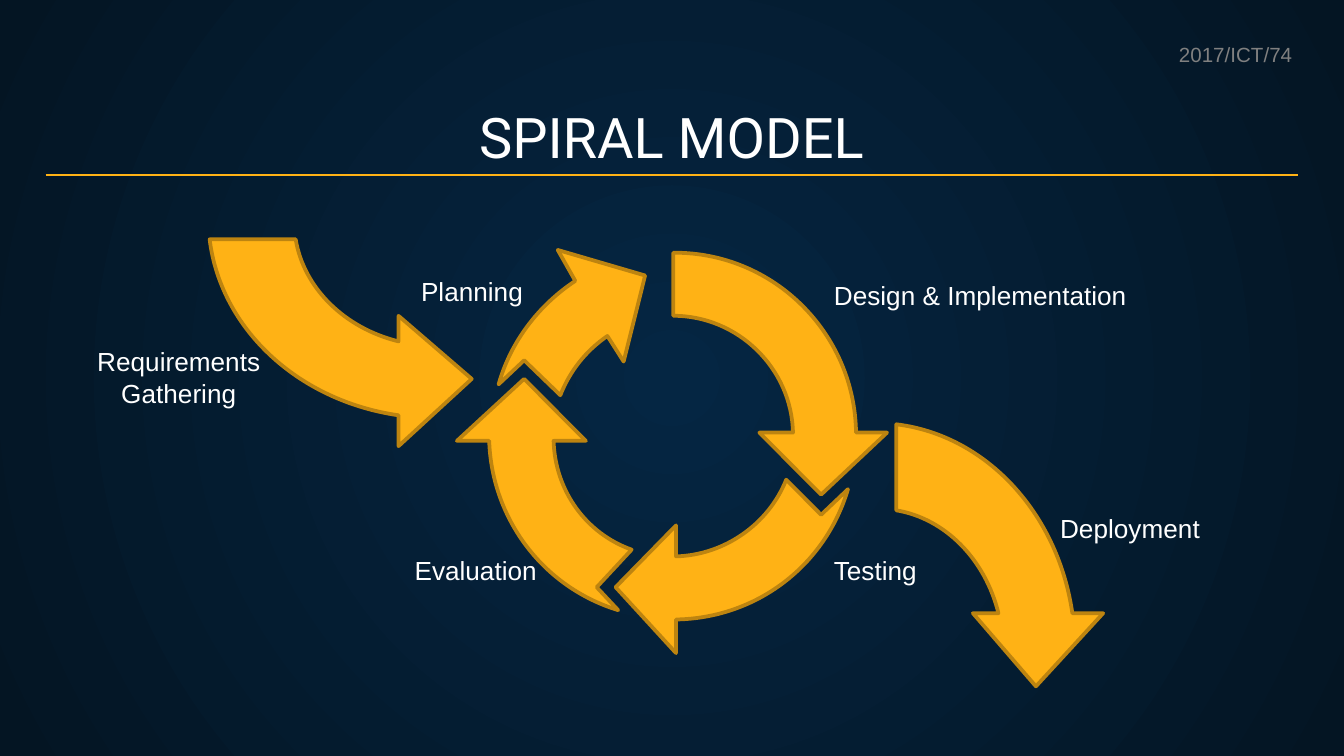
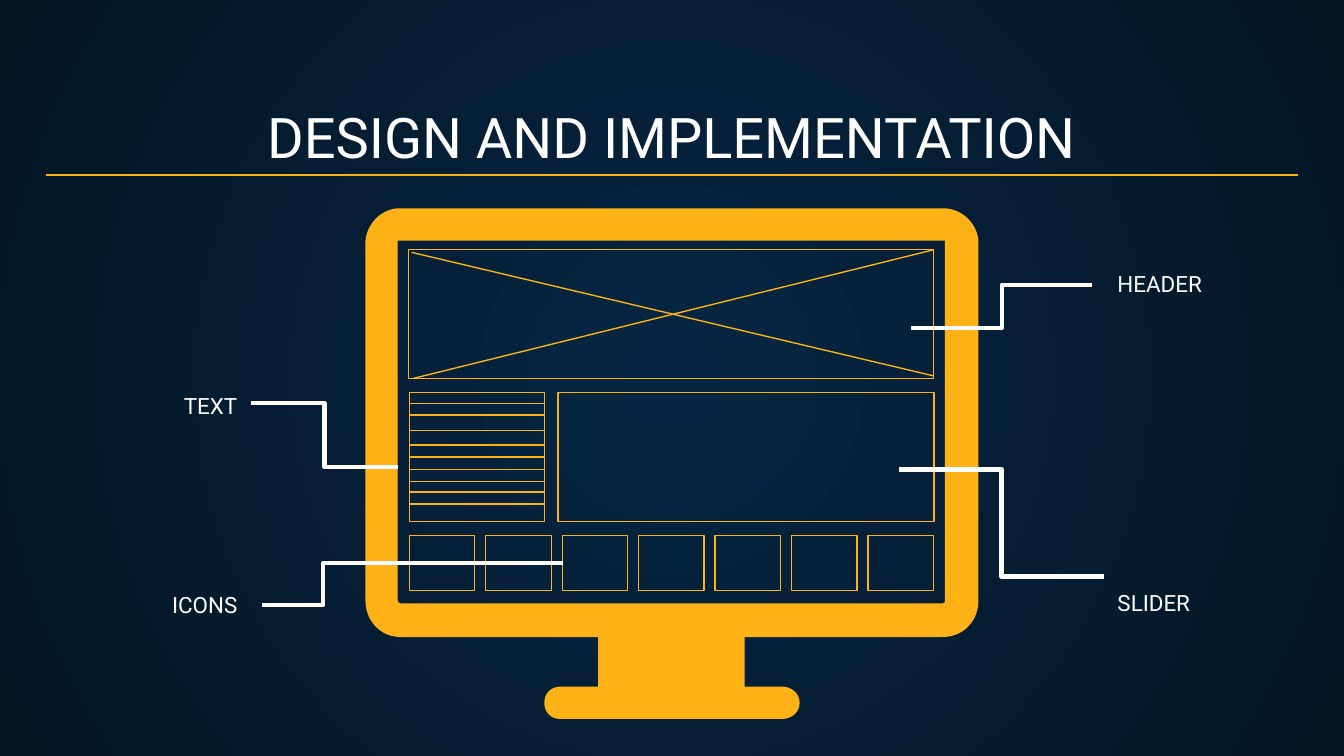
from lxml import etree
from pptx import Presentation
from pptx.dml.color import RGBColor
from pptx.enum.shapes import MSO_CONNECTOR, MSO_SHAPE
from pptx.enum.text import MSO_ANCHOR, MSO_AUTO_SIZE, PP_ALIGN
from pptx.oxml.ns import qn
from pptx.util import Pt

COLORS = {
    "glow": "052643",
    "night": "041523",
    "gold": "FFB215",
    "bronze": "BD8410",
    "white": "FFFFFF",
    "gray": "808080",
}
RGB = {name: RGBColor.from_string(value) for name, value in COLORS.items()}


def write(frame, lines, font, size, align=PP_ALIGN.CENTER,
          anchor=MSO_ANCHOR.BOTTOM, color="white", indent=0):
    frame.word_wrap = True
    frame.auto_size = MSO_AUTO_SIZE.NONE
    frame.vertical_anchor = anchor
    frame.margin_left = frame.margin_right = Pt(7.2)
    frame.margin_top = frame.margin_bottom = Pt(7.2)
    for number, line in enumerate(lines):
        paragraph = frame.add_paragraph() if number else frame.paragraphs[0]
        paragraph.alignment = align
        if indent:
            paragraph._p.get_or_add_pPr().set("marL", str(Pt(indent)))
        run = paragraph.add_run()
        run.text = line
        run.font.name = font
        run.font.size = Pt(size)
        run.font.color.rgb = RGB[color]


def add_outline(shapes, *contours):
    """Draw closed contours; a step is an end point, or a cubic curve of 3 points."""
    builder = None
    for start, *steps in contours:
        origin = [Pt(value) for value in start]
        if builder is None:
            builder = shapes.build_freeform(*origin)
        else:
            builder.move_to(*origin)
        points = [(Pt(x), Pt(y)) for step in steps for x, y in zip(step[::2], step[1::2])]
        builder.add_line_segments(points, close=True)
    outline = builder.convert_to_shape()
    # Join the three points of each curve into one cubic segment
    segments = iter(list(outline._element.iter(qn("a:lnTo"))))
    for step in (step for contour in contours for step in contour[1:]):
        segment = next(segments)
        if len(step) == 6:
            segment.tag = qn("a:cubicBezTo")
            for follower in (next(segments), next(segments)):
                segment.append(follower[0])
                follower.getparent().remove(follower)
    outline.shadow.inherit = False
    outline.fill.solid()
    outline.fill.fore_color.rgb = RGB["gold"]
    return outline


prs = Presentation()
prs.slide_width, prs.slide_height = Pt(720), Pt(405)

# Shared background: a radial glow on the master
backdrop = prs.slide_master.background.fill
backdrop.gradient()
for stop, name in zip(backdrop.gradient_stops, ("glow", "night")):
    stop.color.rgb = RGB[name]
gradient = prs.slide_master._element.find(".//" + qn("a:gradFill"))
gradient.remove(gradient.find(qn("a:lin")))
radial = etree.SubElement(gradient, qn("a:path"), path="circle")
etree.SubElement(radial, qn("a:fillToRect"), l="50000", t="50000", r="50000", b="50000")

# Shared title style; connectors are (slide, ends, colour, width, bend)
connectors = []
slides = []
for heading in ("SPIRAL MODEL", "DESIGN AND IMPLEMENTATION"):
    slide = prs.slides.add_slide(prs.slide_layouts[5])
    title = slide.shapes.title
    title.left, title.top, title.width, title.height = Pt(24.3), Pt(50.8), Pt(671), Pt(47.5)
    write(title.text_frame, [heading], "Roboto", 30)
    connectors.append((slide, (24.5, 93.8, 695.5, 93.8), "gold", 0.75, None))
    slides.append(slide)
spiral, design = slides

# Slide 1: spiral model
planning = [
    (298.8, 133.9), (308.2, 150.5), (288.7, 163.4, 273.6, 182.9, 267.1, 205.9),
    (280.8, 193), (300.2, 211.7), (305.3, 198.7, 313.9, 187.9, 325.4, 180),
    (334.1, 193.7), (345.6, 147.6),
]
evaluation = [
    (280.8, 203), (244.8, 236.2), (262.1, 236.2),
    (263.5, 277.9, 290.9, 314.6, 331.2, 326.9), (319.7, 314.6), (338.4, 294.5),
    (313.9, 285.8, 297.4, 262.8, 296.6, 236.2), (313.9, 236.2),
]
testing = [
    (421.2, 257), (411.8, 280.8, 388.1, 297.4, 362.2, 298.1), (362.2, 281.5),
    (329.8, 314.6), (362.2, 349.9), (362.2, 331.9),
    (405.4, 331.2, 442.1, 303.1, 454.3, 262.1), (439.9, 275.8),
]
implementation = [
    (360.7, 135.4), (360.7, 169.2), (395.3, 169.2, 424.1, 197.3, 424.8, 231.8),
    (406.8, 231.8), (439.9, 265), (475.2, 231.8), (458.6, 231.8),
    (457.9, 178.6, 414.7, 135.4, 361.4, 135.4),
]
requirements = [
    (158.4, 128.2), (162.7, 154.1, 184.3, 175.7, 213.5, 182.9), (213.5, 169.2),
    (252.7, 203), (213.5, 239), (213.5, 222.5),
    (159.1, 214.6, 118.1, 175.7, 112.3, 128.2),
]
# The way out is the way in with x and y exchanged
deployment = [
    tuple(value for x, y in zip(step[::2], step[1::2]) for value in (y + 352, x + 115))
    for step in requirements
]
cycle = spiral.shapes.add_group_shape().shapes
for shapes, arrow in (
    (cycle, planning), (cycle, evaluation), (cycle, testing), (cycle, implementation),
    (spiral.shapes, requirements), (spiral.shapes, deployment),
):
    phase = add_outline(shapes, arrow)
    phase.line.color.rgb = RGB["bronze"]
    phase.line.width = Pt(2)

for lines, left, top, width, height, align, indent in (
    (["Planning"], 171.2, 148.7, 163.4, 23, PP_ALIGN.CENTER, 0),
    (["Design & Implementation"], 396, 150.9, 235.4, 23, PP_ALIGN.CENTER, 23),
    (["Evaluation"], 173.2, 297.8, 163.4, 23, PP_ALIGN.CENTER, 0),
    (["Testing"], 394.6, 297.8, 163.4, 23, PP_ALIGN.LEFT, 45),
    (["Deployment"], 523.7, 275.4, 163.4, 23, PP_ALIGN.CENTER, 0),
    (["Requirements", "Gathering"], 14.1, 178.6, 163.4, 47.5, PP_ALIGN.CENTER, 0),
):
    label = spiral.shapes.add_textbox(Pt(left), Pt(top), Pt(width), Pt(height))
    write(label.text_frame, lines, "Arial", 14, align, indent=indent)

student_number = spiral.shapes.add_textbox(Pt(624.5), Pt(19), Pt(75.6), Pt(20.9)).text_frame
write(student_number, ["2017/ICT/74"], "Arial", 11, PP_ALIGN.LEFT, MSO_ANCHOR.TOP, "gray")
student_number.margin_top = student_number.margin_bottom = Pt(3.6)
student_number.word_wrap = False
student_number.auto_size = MSO_AUTO_SIZE.SHAPE_TO_FIT_TEXT

# Slide 2: page layout on a monitor
screen = [
    (506.2, 128.9), (506.2, 321.8), (506.2, 322.6, 506.2, 323.3, 504.7, 323.3),
    (214.6, 323.3), (213.8, 323.3, 213.1, 322.6, 213.1, 321.8), (213.1, 128.9),
]
casing = [
    (213.1, 111.6), (203.8, 112.3, 196.6, 120.2, 195.8, 128.9), (195.8, 321.8),
    (195.8, 325.4, 196.6, 328.3, 198, 331.2), (201.6, 337.7, 207.4, 341.3, 214.6, 341.3),
    (320.4, 341.3), (320.4, 367.9), (300.2, 367.9),
    (295.2, 367.9, 291.6, 371.5, 291.6, 376.6), (291.6, 381.6, 295.2, 385.2, 300.2, 385.2),
    (419, 385.2), (424.1, 385.2, 428.4, 381.6, 428.4, 376.6),
    (428.4, 371.5, 424.1, 367.9, 419, 367.9), (398.9, 367.9), (398.9, 341.3),
    (504.7, 341.3), (512.6, 341.3, 518.4, 337.7, 522, 331.2),
    (523.4, 328.3, 524.2, 325.4, 524.2, 321.8), (524.2, 128.9),
    (523.4, 120.2, 516.2, 112.3, 506.2, 111.6),
]
add_outline(design.shapes, screen, casing).line.fill.background()

blocks = [
    (design.shapes, 218.9, 133.7, 281.3, 69.1),
    (design.shapes, 219.3, 210.2, 72.5, 69.1),
    (design.shapes, 299, 210.2, 201.4, 69.1),
]
icons = design.shapes.add_group_shape().shapes
blocks += [(icons, 219.3 + 40.95 * column, 286.9, 35.1, 29.6) for column in range(7)]
for shapes, *box in blocks:
    block = shapes.add_shape(MSO_SHAPE.RECTANGLE, *map(Pt, box))
    block.shadow.inherit = False
    block.fill.background()
    block.line.color.rgb = RGB["gold"]
    block.line.width = Pt(0.75)

header_cross = [(220.5, 135.2, 500.2, 201.4), (221.2, 202.8, 499.9, 133.9)]
text_rows = [(219.4, y, 291.8, y)
             for y in (216.2, 222.3, 230.6, 238.5, 244.8, 251.5, 258, 263.5, 270)]
for ends in header_cross + text_rows:
    connectors.append((design, ends, "gold", 0.75, None))

for caption, left, top, align, spacing, ends, bend in (
    ("HEADER", 591.6, 137.5, PP_ALIGN.LEFT, 1, (488.2, 175.9, 585, 152.6), 50000),
    ("TEXT", 50.8, 203, PP_ALIGN.RIGHT, 1, (134.6, 216, 213.1, 250.3), 50000),
    ("SLIDER", 591.6, 293.8, PP_ALIGN.LEFT, 2, (481.7, 251.5, 591.4, 308.9), 50000),
    ("ICONS", 50.8, 309.6, PP_ALIGN.RIGHT, 1, (140.4, 324, 301.7, 301.7), 20400),
):
    callout = design.shapes.add_textbox(Pt(left), Pt(top), Pt(83.5), Pt(15.1)).text_frame
    write(callout, [caption], "Roboto", 12, align, MSO_ANCHOR.TOP)
    callout.paragraphs[0].line_spacing = float(spacing)
    connectors.append((design, ends, "white", 2.25, bend))

for slide, ends, color, width, bend in connectors:
    kind = MSO_CONNECTOR.ELBOW if bend else MSO_CONNECTOR.STRAIGHT
    connector = slide.shapes.add_connector(kind, *map(Pt, ends))
    connector.line.color.rgb = RGB[color]
    connector.line.width = Pt(width)
    properties = connector._element.spPr
    etree.SubElement(properties, qn("a:effectLst"))
    if bend:
        guides = properties.find(".//" + qn("a:avLst"))
        etree.SubElement(guides, qn("a:gd"), name="adj1", fmla=f"val {bend}")

prs.save("out.pptx")
